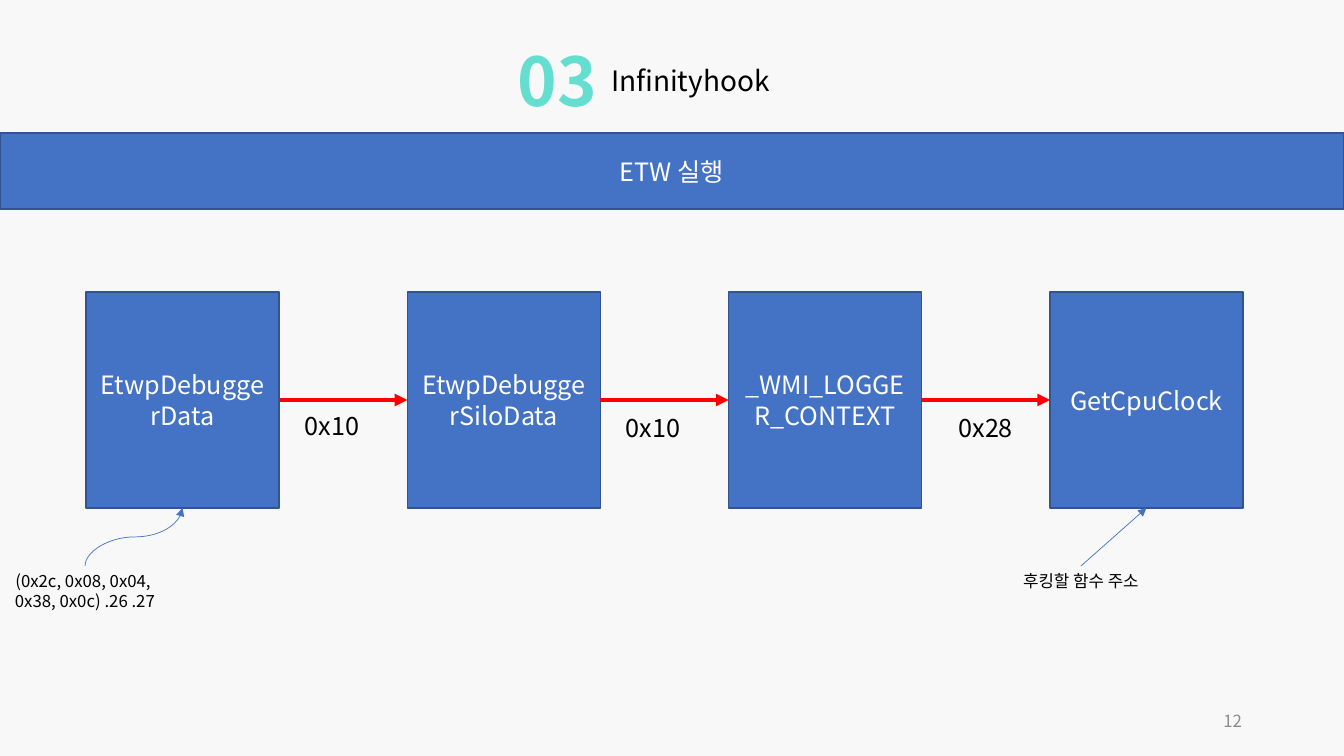
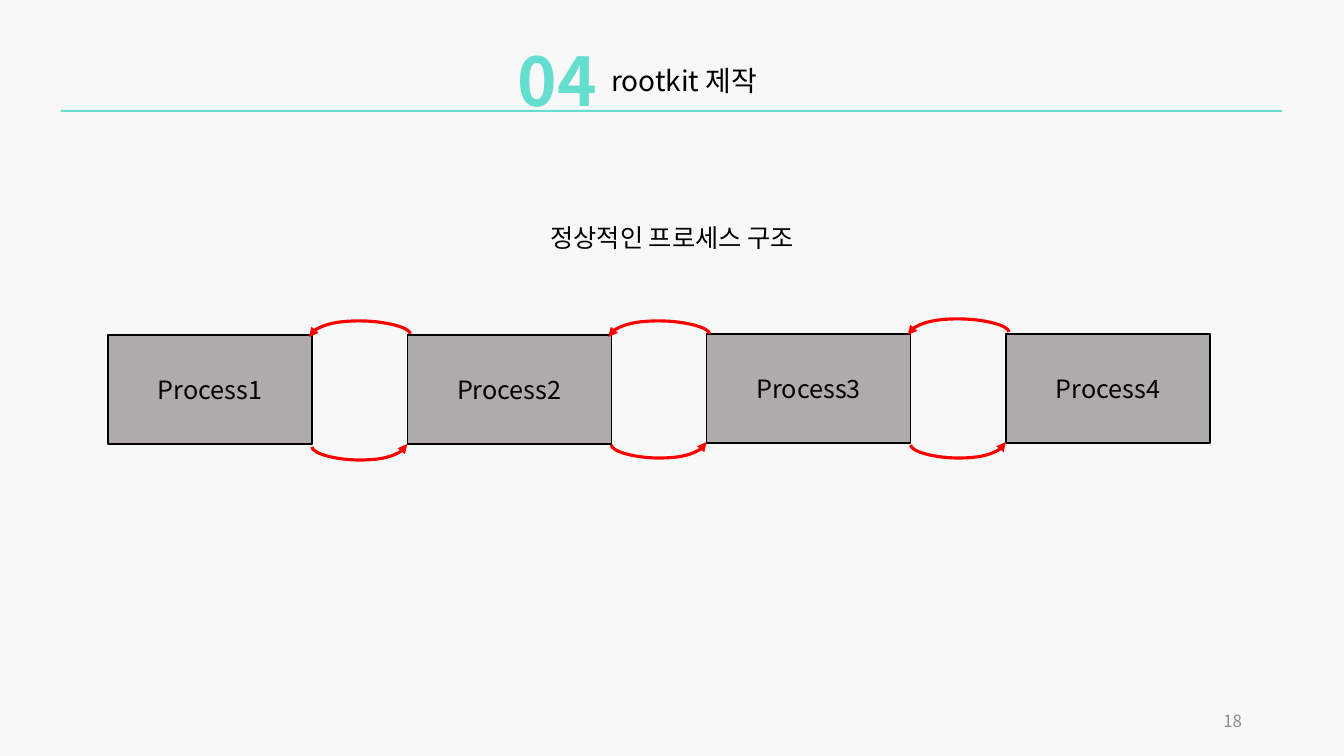
import pptx
import pptx.util
import pptx.dml.color
import pptx.enum.shapes
import pptx.enum.text
import pptx.oxml.ns
import lxml.etree

EMU_PER_PIXEL = 914400 / 100.8
SLIDE_WIDTH, SLIDE_HEIGHT = 1344, 756
FONT = "Noto Sans CJK KR"
COLOURS = {
    "background": "F8F8F8", "accent": "64DECF", "blue": "4472C4",
    "blue edge": "325491", "grey": "AFABAB", "arrow": "FF0000",
    "black": "000000", "white": "FFFFFF", "page": "8C8C8C",
}
ALIGN = pptx.enum.text.PP_ALIGN
ANCHOR = pptx.enum.text.MSO_ANCHOR
AUTO_SIZE = pptx.enum.text.MSO_AUTO_SIZE
CONNECTOR = pptx.enum.shapes.MSO_CONNECTOR
RECTANGLE = pptx.enum.shapes.MSO_SHAPE.RECTANGLE


def px(length):
    return pptx.util.Emu(round(length * EMU_PER_PIXEL))


def colour(name):
    return pptx.dml.color.RGBColor.from_string(COLOURS[name])


def add_xml(parent, tag, **attributes):
    return lxml.etree.SubElement(parent, pptx.oxml.ns.qn(tag), attributes)


def write(frame, text, size=18, color="black", bold=False,
          align=ALIGN.LEFT, anchor=ANCHOR.TOP, grow=False):
    """Fill a text frame, one paragraph per line of text."""
    frame.word_wrap = True
    frame.auto_size = AUTO_SIZE.SHAPE_TO_FIT_TEXT if grow else AUTO_SIZE.NONE
    frame.vertical_anchor = anchor
    for number, line in enumerate(text.split("\n")):
        paragraph = frame.add_paragraph() if number else frame.paragraphs[0]
        paragraph.alignment = align
        run = paragraph.add_run()
        run.text = line
        run.font.size = pptx.util.Pt(size)
        run.font.bold = bold
        run.font.color.rgb = colour(color)
        run.font.name = FONT
        add_xml(run.font._element, "a:ea", typeface=FONT)


def add_label(slide, box, text, grow=True, **text_format):
    label = slide.shapes.add_textbox(*map(px, box))
    write(label.text_frame, text, grow=grow, **text_format)


def add_block(slide, box, fill, edge=None, text=None, color="white"):
    block = slide.shapes.add_shape(RECTANGLE, *map(px, box))
    block.shadow.inherit = False
    block.fill.solid()
    block.fill.fore_color.rgb = colour(fill)
    if edge:
        block.line.color.rgb = colour(edge)
        block.line.width = pptx.util.Pt(1)
    else:
        block.line.fill.background()
    if text:
        write(block.text_frame, text, color=color,
              align=ALIGN.CENTER, anchor=ANCHOR.MIDDLE)


def finish_arrow(arrow, color, width):
    arrow.line.color.rgb = colour(color)
    arrow.line.width = pptx.util.Pt(width)
    add_xml(arrow.line._get_or_add_ln(), "a:tailEnd", type="triangle")
    add_xml(arrow.element.spPr, "a:effectLst")


def add_arrow(slide, start, end, color="arrow", width=3):
    arrow = slide.shapes.add_connector(
        CONNECTOR.STRAIGHT, *map(px, (*start, *end)))
    finish_arrow(arrow, color, width)


def add_curve(slide, start, end, turn_y, color="arrow", width=2.25):
    """Curve that leaves and arrives vertically, turning at height turn_y."""
    (x1, y1), (x2, y2) = start, end
    center_x, center_y = (x1 + x2) / 2, (y1 + y2) / 2
    side = 1 if x2 > x1 else -1
    # The connector is laid out sideways, then rotated a quarter turn.
    dx, dy = side * (y1 - y2) / 2, side * (x2 - x1) / 2
    curve = slide.shapes.add_connector(
        CONNECTOR.CURVE, *map(px, (center_x + dx, center_y + dy,
                                   center_x - dx, center_y - dy)))
    properties = curve.element.spPr
    properties.find(pptx.oxml.ns.qn("a:xfrm")).set(
        "rot", str(side * 90 % 360 * 60000))
    guides = properties.find(".//" + pptx.oxml.ns.qn("a:avLst"))
    bend = round((turn_y - y1) / (y2 - y1) * 100000)
    add_xml(guides, "a:gd", name="adj1", fmla=f"val {bend}")
    finish_arrow(curve, color, width)


def spread(box, count, width):
    """Left edges of equally spaced items that fill a box."""
    left, _, total, _ = box
    pitch = (total - width) / (count - 1)
    return [left + pitch * index for index in range(count)]


def add_section_slide(deck, number, heading, page):
    """Slide with the shared background, section heading and page number."""
    slide = deck.slides.add_slide(deck.slide_layouts[5])
    slide.background.fill.solid()
    slide.background.fill.fore_color.rgb = colour("background")
    title = slide.shapes.title
    title.left, title.top, title.width, title.height = map(
        px, (601, 58, 443, 44))
    write(title.text_frame, heading, size=20, grow=True)
    add_label(slide, (508, 34, 102, 92), number,
              size=48, color="accent", bold=True)
    add_label(slide, (950, 701, 302, 40), page, grow=False, size=12,
              color="page", align=ALIGN.RIGHT, anchor=ANCHOR.MIDDLE)
    return slide


def add_pointer_chain(slide, box, structures, offsets):
    """Row of structures joined by arrows that carry memory offsets."""
    _, top, _, height = box
    width, label_width = 193, 97
    lefts = spread(box, len(structures), width)
    middle = top + height / 2
    for left, structure in zip(lefts, structures):
        add_block(slide, (left, top, width, height),
                  "blue", "blue edge", structure)
    for left, next_left, (offset, drop, align) in zip(
            lefts, lefts[1:], offsets):
        right = left + width
        add_arrow(slide, (right, middle), (next_left, middle))
        label_left = (right + next_left - label_width) / 2
        add_label(slide, (label_left, middle + drop, label_width, 40),
                  offset, align=align)
    return [(left + width / 2, top + height) for left in lefts]


def add_note(slide, box, text, target, curved=False):
    """Small note with a thin arrow from its top centre to a target."""
    left, top, width, _ = box
    add_label(slide, box, text, size=12, align=ALIGN.CENTER)
    start = (left + width / 2, top)
    look = {"color": "blue", "width": 0.5}
    if curved:
        add_curve(slide, start, target, (top + target[1]) / 2, **look)
    else:
        add_arrow(slide, start, target, **look)


def add_process_list(slide, box, processes, forward_tops, back_tops):
    """Row of processes linked forwards below and backwards above."""
    _, _, _, height = box
    width, overlap, rise, bulge = 204, 3, 3, 13
    lefts = spread(box, len(processes), width)
    for left, (process, top) in zip(lefts, processes):
        add_block(slide, (left, top, width, height),
                  "grey", "black", process, color="black")
    for left, next_left, forward, back in zip(
            lefts, lefts[1:], forward_tops, back_tops):
        right = left + width
        add_curve(slide, (right, forward), (next_left, forward - rise),
                  forward + bulge)
        add_curve(slide, (next_left + overlap, back),
                  (right - overlap, back + rise), back - bulge)


deck = pptx.Presentation()
deck.slide_width, deck.slide_height = px(SLIDE_WIDTH), px(SLIDE_HEIGHT)

# Section 03: chain of structures down to the hooked function
hook_slide = add_section_slide(deck, "03", "Infinityhook", "12")
add_block(hook_slide, (0, 133, SLIDE_WIDTH, 76),
          "blue", "blue edge", "ETW 실행")
structure_feet = add_pointer_chain(
    hook_slide, (86, 292, 1157, 216),
    ["EtwpDebuggerData", "EtwpDebuggerSiloData",
     "_WMI_LOGGER_CONTEXT", "GetCpuClock"],
    [("0x10", 5, ALIGN.LEFT), ("0x10", 7, ALIGN.LEFT),
     ("0x28", 7, ALIGN.CENTER)])
add_note(hook_slide, (0, 566, 170, 50),
         "(0x2c, 0x08, 0x04, \n0x38, 0x0c) .26 .27",
         structure_feet[0], curved=True)
add_note(hook_slide, (996, 566, 170, 30), "후킹할 함수 주소",
         structure_feet[-1])

# Section 04: doubly linked process list
rootkit_slide = add_section_slide(deck, "04", "rootkit 제작", "18")
add_block(rootkit_slide, (61, 110, 1221, 2), "accent")
add_label(rootkit_slide, (477, 217, 390, 40), "정상적인 프로세스 구조",
          align=ALIGN.CENTER)
add_process_list(
    rootkit_slide, (108, 335, 1102, 109),
    [("Process1", 335), ("Process2", 335),
     ("Process3", 334), ("Process4", 334)],
    forward_tops=[447, 445, 445], back_tops=[334, 334, 332])

deck.save("out.pptx")
